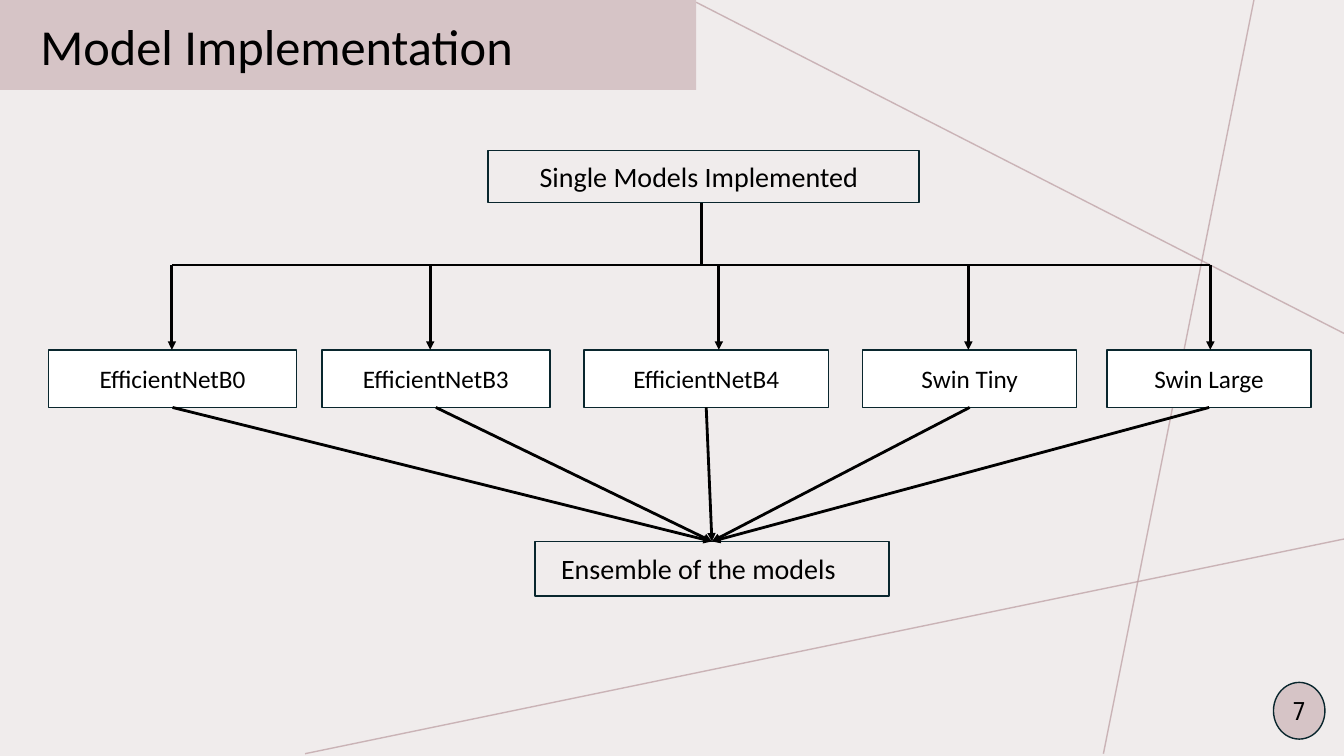
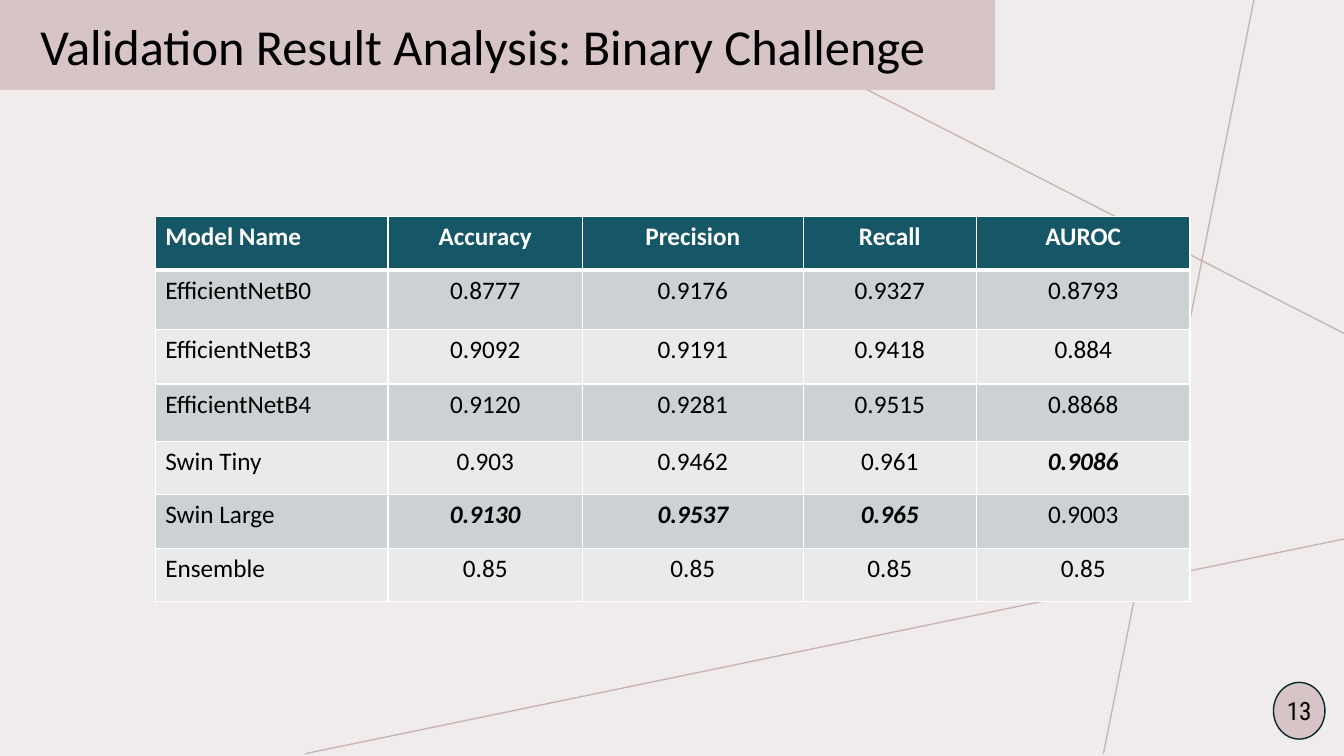
from dataclasses import dataclass

from lxml import etree
from pptx import Presentation
from pptx.dml.color import RGBColor
from pptx.enum.shapes import MSO_CONNECTOR, MSO_SHAPE
from pptx.enum.text import MSO_ANCHOR, MSO_AUTO_SIZE, PP_ALIGN
from pptx.oxml.ns import qn
from pptx.util import Inches, Pt

LEFT, CENTER = PP_ALIGN.LEFT, PP_ALIGN.CENTER
TOP, MIDDLE = MSO_ANCHOR.TOP, MSO_ANCHOR.MIDDLE
RECTANGLE, ELLIPSE = MSO_SHAPE.RECTANGLE, MSO_SHAPE.OVAL
STRAIGHT = MSO_CONNECTOR.STRAIGHT
NO_AUTOFIT = MSO_AUTO_SIZE.NONE
TOP_SITE, BOTTOM_SITE = 0, 2
TITLE_ONLY = 5


@dataclass(frozen=True)
class Theme:
    paper: str = "F0ECEC"
    band: str = "D6C4C6"
    ray: str = "BA9CA0"
    outline: str = "09262D"
    ink: str = "000000"
    white: str = "FFFFFF"
    header: str = "155767"
    stripes: tuple = ("CCD1D3", "E8EAEB")
    font: str = "Calibri"
    number_font: str = "Roboto Condensed"
    title_size: int = 36
    heading_size: int = 20
    body_size: int = 18


@dataclass(frozen=True)
class Box:
    """An area in inches, divided into 100 columns and 100 rows."""
    left: float
    top: float
    width: float
    height: float

    def point(self, column, row):
        return (self.left + self.width * column / 100,
                self.top + self.height * row / 100)

    def region(self, column, row, columns, rows):
        return Box(*self.point(column, row),
                   self.width * columns / 100, self.height * rows / 100)

    def lengths(self):
        return [Inches(value) for value in
                (self.left, self.top, self.width, self.height)]


THEME = Theme()
SLIDE = Box(0, 0, 13.33, 7.5)

# Background lines: start and end in slide columns and rows
RAYS = [((51.8, 0.3), (100, 44.1)),
        ((100, 71.3), (22.7, 99.7)),
        ((82.1, 99.7), (93.3, 0))]

# Model name, left column, columns wide, column of the arrow above
MODELS = [("EfficientNetB0", 0, 19.7, 9.8),
          ("EfficientNetB3", 21.7, 18.1, 30.3),
          ("EfficientNetB4", 42.5, 19.4, 53.2),
          ("Swin Tiny", 64.6, 17, 73),
          ("Swin Large", 84, 16.2, 92.2)]

SCORES = [("Model Name", "Accuracy", "Precision", "Recall", "AUROC"),
          ("EfficientNetB0", "0.8777", "0.9176", "0.9327", "0.8793"),
          ("EfficientNetB3", "0.9092", "0.9191", "0.9418", "0.884"),
          ("EfficientNetB4", "0.9120", "0.9281", "0.9515", "0.8868"),
          ("Swin Tiny", "0.903", "0.9462", "0.961", "0.9086"),
          ("Swin Large", "0.9130", "0.9537", "0.965", "0.9003"),
          ("Ensemble", "0.85", "0.85", "0.85", "0.85")]
COLUMN_WIDTHS = [2.31, 1.93, 2.19, 1.72, 2.12]
ROW_HEIGHTS = [0.53, 0.59, 0.54, 0.57, 0.53, 0.53, 0.53]


def rgb(color):
    return RGBColor.from_string(color)


def write_text(frame, text, *, size=THEME.body_size, font=THEME.font,
               color=THEME.ink, bold=False, italic=False,
               align=LEFT, anchor=MIDDLE):
    frame.word_wrap = True
    frame.vertical_anchor = anchor
    para = frame.paragraphs[0]
    para.alignment = align
    span = para.add_run()
    span.text = text
    span.font.name = font
    span.font.size = Pt(size)
    span.font.color.rgb = rgb(color)
    span.font.bold = bold
    span.font.italic = italic


def add_box(page, area, text, *, kind=RECTANGLE, fill=None, inset=0, **style):
    shape = page.shapes.add_shape(kind, *area.lengths())
    shape.shadow.inherit = False
    if fill:
        shape.fill.solid()
        shape.fill.fore_color.rgb = rgb(fill)
    else:
        shape.fill.background()
    shape.line.color.rgb = rgb(THEME.outline)
    shape.line.width = Pt(1)
    frame = shape.text_frame
    frame.margin_left = Inches(inset)
    frame.margin_right = frame.margin_top = frame.margin_bottom = 0
    write_text(frame, text, **style)
    return shape


def add_line(page, start, end, *, color=THEME.ink, width=2,
             opacity=100, arrow=False):
    ends = [Inches(value) for value in (*start, *end)]
    line = page.shapes.add_connector(STRAIGHT, *ends)
    line.line.color.rgb = rgb(color)
    line.line.width = Pt(width)
    properties = line.element.spPr
    outline = properties.find(qn("a:ln"))
    if opacity < 100:
        tint = outline.find(".//" + qn("a:srgbClr"))
        etree.SubElement(tint, qn("a:alpha"), val=str(opacity * 1000))
    if arrow:
        etree.SubElement(outline, qn("a:tailEnd"), type="triangle")
    etree.SubElement(properties, qn("a:effectLst"))
    return line


def add_page(deck, title, number, band_columns):
    page = deck.slides.add_slide(deck.slide_layouts[TITLE_ONLY])
    # Background lines
    for start, end in RAYS:
        add_line(page, SLIDE.point(*start), SLIDE.point(*end),
                 color=THEME.ray, width=1, opacity=70)
    # Title band, in front of the lines
    band = page.shapes.title
    band.element.getparent().append(band.element)
    area = SLIDE.region(0, 0, band_columns, 11.9)
    band.left, band.top, band.width, band.height = area.lengths()
    band.fill.solid()
    band.fill.fore_color.rgb = rgb(THEME.band)
    band.text_frame.auto_size = NO_AUTOFIT
    band.text_frame.margin_left = Inches(0.4)
    write_text(band.text_frame, title, size=THEME.title_size)
    # Page number
    add_box(page, SLIDE.region(94.75, 90.27, 3.83, 7.5), number, kind=ELLIPSE,
            fill=THEME.band, font=THEME.number_font, align=CENTER)
    return page


def add_model_diagram(page, area):
    bus_row, model_row = 25.9, 45
    # Heading and result
    add_box(page, area.region(34.9, 0, 34.2, 11.8), "Single Models Implemented",
            inset=0.51, size=THEME.heading_size)
    ensemble = add_box(page, area.region(38.6, 88.2, 28.1, 12.3),
                       "Ensemble of the models", inset=0.26,
                       size=THEME.heading_size)
    # Stem and bus
    add_line(page, area.point(51.8, 11.8), area.point(51.8, bus_row))
    add_line(page, area.point(MODELS[0][-1], bus_row),
             area.point(MODELS[-1][-1], bus_row))
    # Models with the arrows into and out of them
    for name, column, columns, drop in MODELS:
        model = add_box(page, area.region(column, model_row, columns, 13), name,
                        fill=THEME.white, align=CENTER)
        add_line(page, area.point(drop, bus_row), area.point(drop, model_row),
                 arrow=True)
        merge = add_line(page, (0, 0), (1, 1), arrow=True)
        merge.begin_connect(model, BOTTOM_SITE)
        merge.end_connect(ensemble, TOP_SITE)


def add_border(cell, side, width):
    border = etree.SubElement(cell._tc.get_or_add_tcPr(), qn("a:ln" + side),
                              w=str(Pt(width)))
    fill = etree.SubElement(border, qn("a:solidFill"))
    etree.SubElement(fill, qn("a:srgbClr"), val=THEME.white)


def add_score_table(page, area):
    table = page.shapes.add_table(len(SCORES), len(SCORES[0]),
                                  *area.lengths()).table
    for column, share in zip(table.columns, COLUMN_WIDTHS):
        column.width = Inches(area.width * share / sum(COLUMN_WIDTHS))
    for row, share in zip(table.rows, ROW_HEIGHTS):
        row.height = Inches(area.height * share / sum(ROW_HEIGHTS))
    best = [max(values, key=float) for values in list(zip(*SCORES[1:]))[1:]]

    for r, values in enumerate(SCORES):
        header = r == 0
        for c, value in enumerate(values):
            cell = table.cell(r, c)
            for side in "LRTB":
                thick = (r, side) in ((0, "B"), (1, "T"))
                add_border(cell, side, 3 if thick else 1)
            cell.fill.solid()
            cell.fill.fore_color.rgb = rgb(
                THEME.header if header else THEME.stripes[(r - 1) % 2])
            winner = not header and c > 0 and value == best[c - 1]
            write_text(cell.text_frame, value, bold=header or winner,
                       italic=winner, align=CENTER if c else LEFT, anchor=TOP,
                       color=THEME.white if header else THEME.ink)


def main():
    deck = Presentation()
    deck.slide_width, deck.slide_height = SLIDE.lengths()[2:]
    backdrop = deck.slide_master.background.fill
    backdrop.solid()
    backdrop.fore_color.rgb = rgb(THEME.paper)

    page = add_page(deck, "Model Implementation", "7", 51.8)
    add_model_diagram(page, SLIDE.region(3.6, 19.87, 93.77, 58.67))

    page = add_page(deck, "Validation Result Analysis: Binary Challenge",
                    "13", 74.04)
    add_score_table(page, SLIDE.region(11.55, 28.67, 77, 50.93))

    deck.save("out.pptx")


if __name__ == "__main__":
    main()
